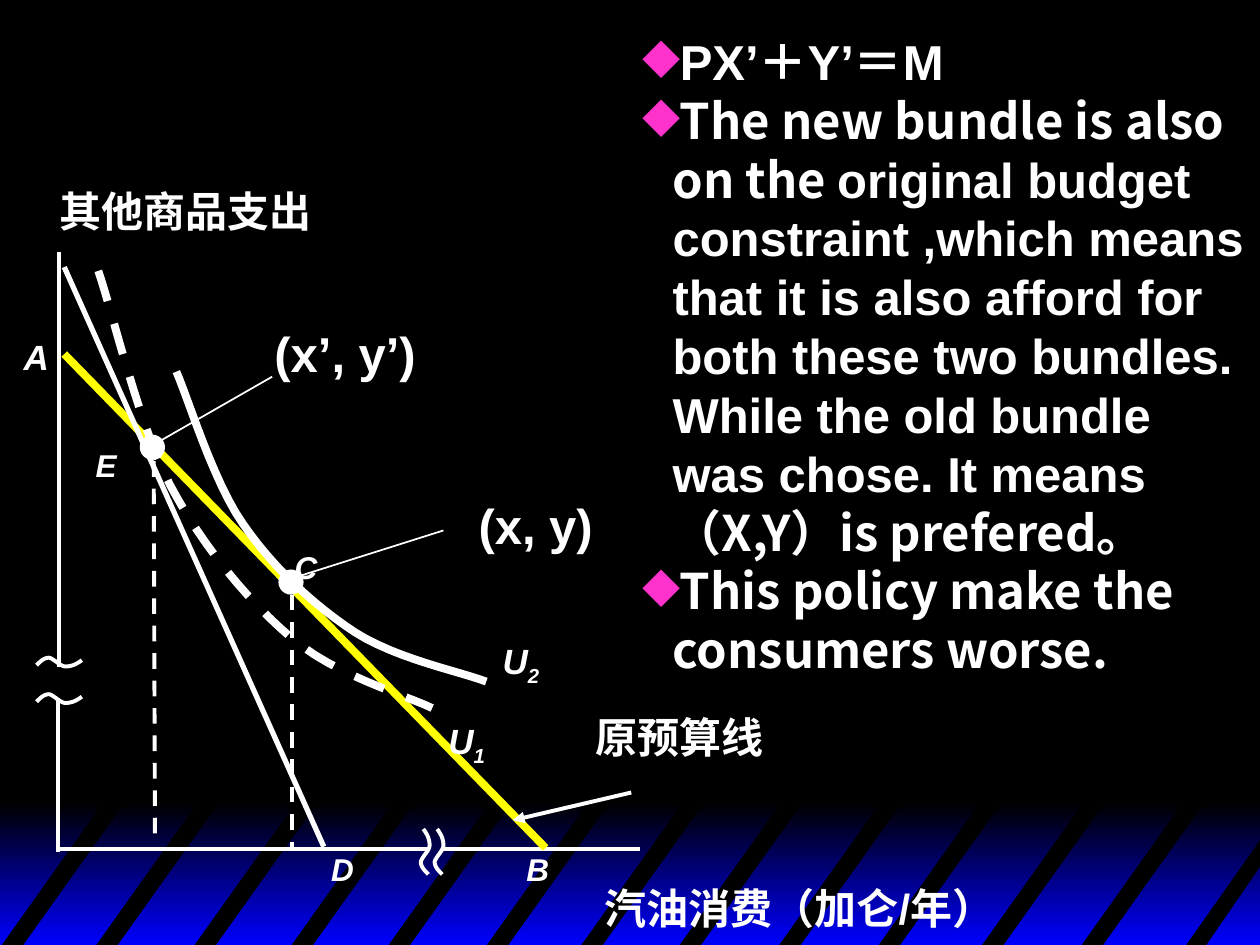
import dataclasses

import pptx
import pptx.dml.color
import pptx.enum.dml
import pptx.enum.shapes
import pptx.enum.text
import pptx.oxml.ns
import pptx.util
from lxml import etree

CELL = 91440  # the slide is a grid of 100 columns by 75 rows
ALIGN = pptx.enum.text.PP_ALIGN


def rgb(value):
    return pptx.dml.color.RGBColor.from_string(value)


def add_xml(parent, tag, **attributes):
    return etree.SubElement(parent, pptx.oxml.ns.qn(tag), attributes)


def curve_points(start, *segments, steps=12):
    """Sample cubic segments, each given as two controls and an end point."""
    points = [start]
    for bend_a, bend_b, end in segments:
        begin = points[-1]
        for step in range(1, steps + 1):
            t = step / steps
            weights = ((1 - t) ** 3, 3 * t * (1 - t) ** 2, 3 * t * t * (1 - t), t ** 3)
            corners = (begin, bend_a, bend_b, end)
            points.append(tuple(sum(w * c[axis] for w, c in zip(weights, corners))
                                for axis in (0, 1)))
    return points


@dataclasses.dataclass(frozen=True)
class Theme:
    ground: str = "000000"
    glow: str = "0000FF"
    ink: str = "FFFFFF"
    budget: str = "FFFF00"
    bullet: str = "FF33CC"
    latin: str = "Arial"
    chinese: str = "Noto Sans CJK SC"
    body: int = 28
    heading: int = 24
    letter: int = 20
    point: int = 18


class Diagram:
    def __init__(self, slide, theme):
        self.shapes, self.theme = slide.shapes, theme
        slide.background.fill.solid()
        slide.background.fill.fore_color.rgb = rgb(theme.ground)

    def cells(self, *values):
        return [pptx.util.Emu(round(value * CELL)) for value in values]

    def stroke(self, line, color, width, dashed):
        line.color.rgb = rgb(color or self.theme.ink)
        line.width = pptx.util.Pt(width)
        if dashed:
            line.dash_style = pptx.enum.dml.MSO_LINE.DASH

    def line(self, start, end, width=2, color=None, dashed=False, arrow=False):
        connector = self.shapes.add_connector(
            pptx.enum.shapes.MSO_CONNECTOR.STRAIGHT, *self.cells(*start, *end))
        self.stroke(connector.line, color, width, dashed)
        properties = connector._element.spPr
        if arrow:
            add_xml(properties.find(pptx.oxml.ns.qn("a:ln")), "a:tailEnd", type="triangle")
        add_xml(properties, "a:effectLst")

    def outline(self, points, closed):
        start, *rest = [self.cells(*point) for point in points]
        builder = self.shapes.build_freeform(*start, scale=1.0)
        builder.add_line_segments(rest, close=closed)
        shape = builder.convert_to_shape()
        shape.shadow.inherit = False
        return shape

    def curve(self, points, width, dashed=False):
        shape = self.outline(points, closed=False)
        shape.fill.background()
        self.stroke(shape.line, None, width, dashed)

    def stripe(self, points):
        shape = self.outline(points, closed=True)
        shape.fill.solid()
        shape.fill.fore_color.rgb = rgb(self.theme.ground)
        shape.line.fill.background()

    def preset(self, kind, *box):
        shape = self.shapes.add_shape(kind, *self.cells(*box))
        shape.shadow.inherit = False
        shape.line.fill.background()
        return shape

    def glow_band(self, *box):
        fill = self.preset(pptx.enum.shapes.MSO_SHAPE.RECTANGLE, *box).fill
        fill.gradient()
        fill.gradient_angle = 270
        for stop, color in zip(fill.gradient_stops, (self.theme.ground, self.theme.glow)):
            stop.color.rgb = rgb(color)

    def dot(self, left, top):
        fill = self.preset(pptx.enum.shapes.MSO_SHAPE.OVAL, left, top, 2, 2).fill
        fill.solid()
        fill.fore_color.rgb = rgb(self.theme.ink)

    def add_words(self, paragraph, text, size, latin=None, italic=False, subscript=False):
        run = paragraph.add_run()
        run.text = text
        formats = {"size": pptx.util.Pt(size), "bold": True, "italic": italic,
                   "name": latin or self.theme.latin}
        for name, value in formats.items():
            setattr(run.font, name, value)
        run.font.color.rgb = rgb(self.theme.ink)
        properties = run._r.get_or_add_rPr()
        add_xml(properties, "a:ea", typeface=self.theme.chinese)
        if subscript:
            properties.set("baseline", "-25000")

    def frame(self, box, wrap):
        frame = self.shapes.add_textbox(*self.cells(*box)).text_frame
        formats = {"word_wrap": wrap,
                   "auto_size": pptx.enum.text.MSO_AUTO_SIZE.SHAPE_TO_FIT_TEXT}
        for name, value in formats.items():
            setattr(frame, name, value)
        return frame

    def label(self, text, box, size, sub="", italic=False, wrap=False, **paragraph_format):
        paragraph = self.frame(box, wrap).paragraphs[0]
        for name, value in paragraph_format.items():
            setattr(paragraph, name, value)
        self.add_words(paragraph, text, size, italic=italic)
        if sub:
            self.add_words(paragraph, sub, size, italic=italic, subscript=True)

    def bullets(self, items, box):
        frame = self.frame(box, True)
        for number, item in enumerate(items):
            paragraph = frame.add_paragraph() if number else frame.paragraphs[0]
            properties = paragraph._p.get_or_add_pPr()
            indent = round(2.4 * CELL)
            properties.set("marL", str(indent))
            properties.set("indent", str(-indent))
            add_xml(add_xml(properties, "a:buClr"), "a:srgbClr", val=self.theme.bullet)
            add_xml(properties, "a:buChar", char="◆")
            for text, latin in item:
                self.add_words(paragraph, text, self.theme.body, latin)


def draw_backdrop(diagram):
    diagram.glow_band(0, 63.8, 100, 11.2)
    for x in (0, 7.5, 15.3, 23, 30.7, 38.5, 46, 53.8, 61.7, 69.6, 77.8, 85.7):
        diagram.stripe([(x, 75.2), (x + 8.4, 63.4), (x + 10.1, 63.4), (x + 1.7, 75.2)])
    diagram.stripe([(94, 75.2), (100.2, 66.4), (100.2, 68.5), (95.6, 75.2)])


def draw_graph(diagram):
    theme = diagram.theme
    for start, end in (((4.7, 20), (4.7, 52.9)), ((4.6, 55.5), (4.6, 67.6)),
                       ((4.8, 67.4), (33.9, 67.4)), ((35.1, 67.4), (50.8, 67.4))):
        diagram.line(start, end)

    axis_break = curve_points((0, 0.6), ((0.3, 0.3), (0.6, 0), (1, 0)),
                              ((1.4, 0.1), (1.9, 0.7), (2.3, 0.7)),
                              ((2.8, 0.7), (3.2, 0.5), (3.6, 0.2)))
    for top in (52.2, 55.1):
        diagram.curve([(2.9 + along, top + across) for along, across in axis_break], 2.25)
    for left in (33.4, 34.5):
        diagram.curve([(left + across, 69.4 - along) for along, across in axis_break], 2.25)

    diagram.line((5.1, 28.1), (43.3, 67.3), 4.5, theme.budget)
    diagram.line((5.1, 21.2), (25.7, 67.2), 3)
    diagram.curve(curve_points((14, 29.5), ((14.9, 31.5), (16.9, 38.2), (19.3, 41.6)),
                               ((21.7, 45.1), (25, 48.1), (28.2, 50.2)),
                               ((31.5, 52.3), (36.5, 53.3), (38.6, 54.1))), 4.5)
    diagram.curve(curve_points((7.8, 21.5), ((8.8, 24.3), (11, 33.7), (13.5, 38.5)),
                               ((16.1, 43.4), (19.7, 47.7), (23.1, 50.6)),
                               ((26.6, 53.6), (32, 55.1), (34.3, 56.2))), 4.5, dashed=True)
    diagram.line((23.2, 47.2), (23.2, 67.2), 2.25, dashed=True)
    diagram.line((12.2, 36.6), (12.3, 66.7), 2.25, dashed=True)
    diagram.line((12.7, 35), (21.6, 29.9), 1)
    diagram.line((23.5, 45.8), (35.2, 42.1), 1)
    diagram.line((50.1, 62.9), (40.7, 65.1), 2.25, arrow=True)
    diagram.dot(22.1, 45.2)
    diagram.dot(11.1, 34.5)


def add_labels(diagram):
    theme = diagram.theme
    diagram.label("其他商品支出", (2.1, 14.7, 23.6, 4.6), theme.heading, wrap=True,
                  alignment=ALIGN.RIGHT, line_spacing=0.9)
    diagram.label("汽油消费（加仑/年）", (47, 70.3, 34.5, 4.2), theme.heading, line_spacing=0.8)
    diagram.label("原预算线", (46.3, 56, 15.3, 5), theme.heading, alignment=ALIGN.CENTER)
    diagram.label("A", (0.9, 26.1, 4, 4.4), theme.letter, italic=True)
    for name, left, top in (("C", 22.4, 43), ("B", 40.8, 67), ("D", 25.3, 67), ("E", 6.6, 34.9)):
        diagram.label(name, (left, top, 3.8, 4), theme.point, italic=True)
    for level, left, top in (("2", 38.9, 50.3), ("1", 34.6, 56.6)):
        diagram.label("U", (left, top, 4.9, 4.8), theme.letter, sub=level, italic=True)
    diagram.label("(x’, y’)", (20.8, 25.2, 13.9, 5.7), theme.body, wrap=True)
    diagram.label("(x, y)", (37, 38.8, 11.7, 5.7), theme.body, wrap=True)
    diagram.bullets([
        [("PX’＋Y’＝M", theme.latin)],
        [("The new bundle is also on the ", theme.chinese),
         ("original budget constraint ,which means that it is also afford for both these "
          "two bundles. While the old bundle was chose. It means ", theme.latin),
         ("（X,Y）is prefered。", theme.chinese)],
        [("This policy make the consumers worse.", theme.chinese)],
    ], (50, 2, 50, 52.4))


def main():
    deck = pptx.Presentation()
    deck.slide_width, deck.slide_height = 100 * CELL, 75 * CELL
    diagram = Diagram(deck.slides.add_slide(deck.slide_layouts[6]), Theme())
    draw_backdrop(diagram)
    draw_graph(diagram)
    add_labels(diagram)
    deck.save("out.pptx")


if __name__ == "__main__":
    main()
